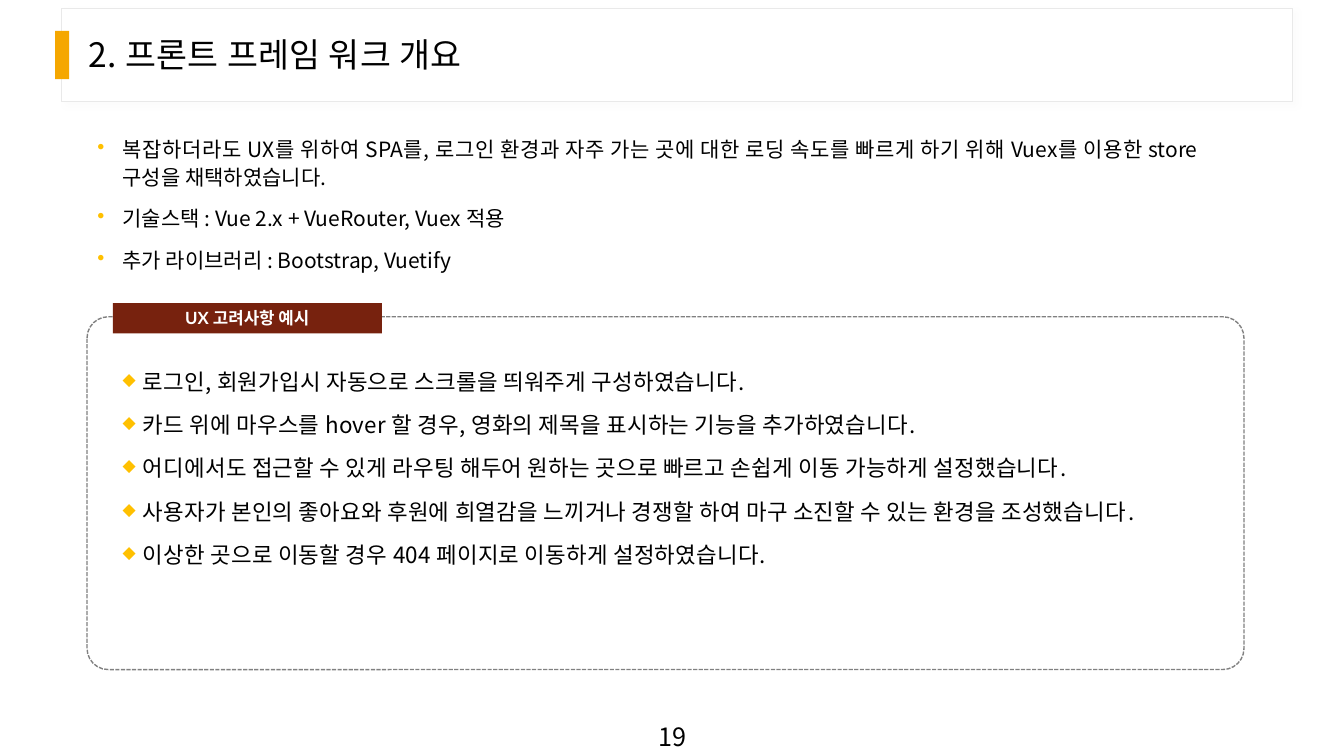
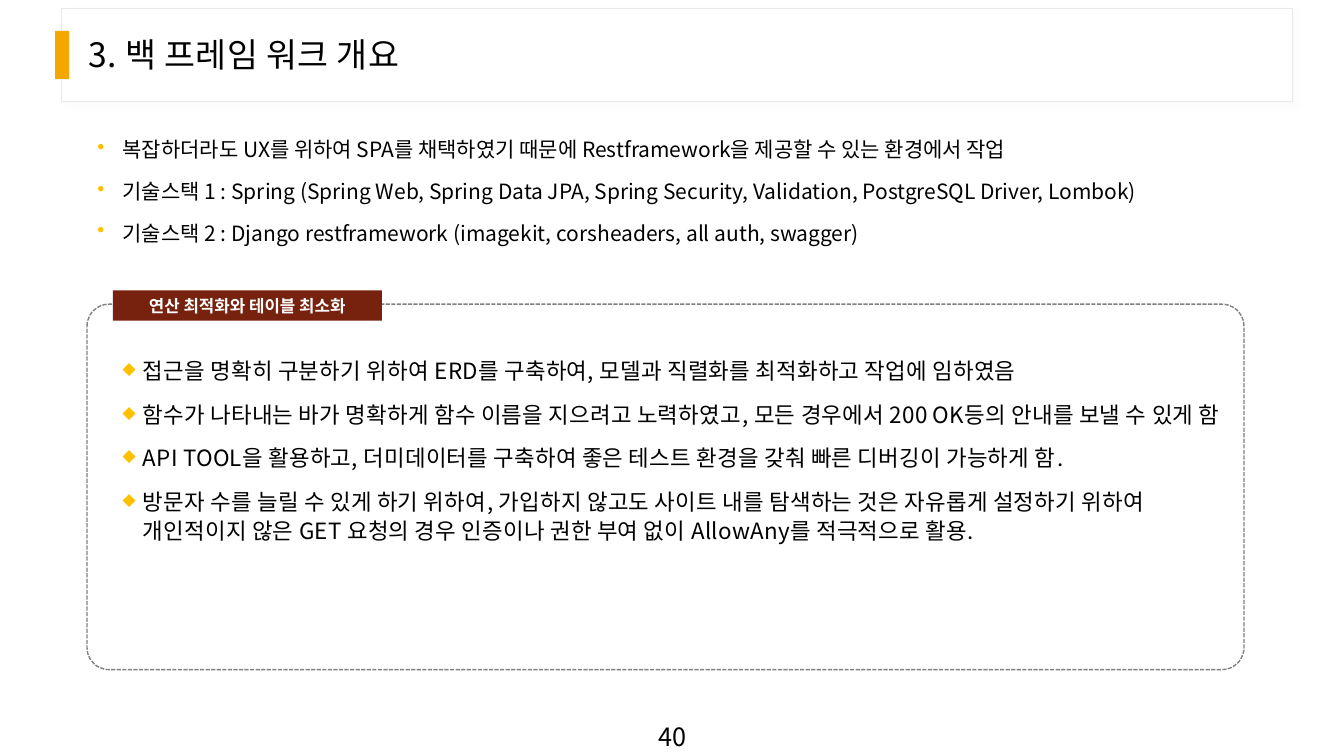
from dataclasses import dataclass
from typing import Any, Optional

from lxml.etree import SubElement
from pptx import Presentation
from pptx.dml.color import RGBColor
from pptx.enum.dml import MSO_LINE_DASH_STYLE as Dash
from pptx.enum.shapes import MSO_SHAPE as Preset
from pptx.enum.text import MSO_ANCHOR as Anchor, PP_ALIGN as Align
from pptx.oxml.ns import qn
from pptx.util import Pt

COLORS = {
    "white": "FFFFFF",
    "black": "000000",
    "header_line": "E9E9E9",
    "shadow": "D9D9D9",
    "accent": "F5A700",
    "bullet": "FFC000",
    "panel_line": "808080",
    "tag": "77220E",
}
KOREAN_FONT = "Noto Sans CJK KR"
TAG_FONT = "Lato"
PANEL_BOTTOM = 478.3
TAG_RISE = 9.8
TEXT_INDENT = 18


@dataclass(frozen=True)
class Box:
    left: float
    top: float
    width: float
    height: float

    def lengths(self) -> tuple:
        return Pt(self.left), Pt(self.top), Pt(self.width), Pt(self.height)


@dataclass(frozen=True)
class Bullet:
    character: str
    hanging: float
    percent: int


@dataclass(frozen=True)
class TextStyle:
    size: float
    color: str = "black"
    font: str = KOREAN_FONT
    bold: bool = False
    align: Align = Align.LEFT
    anchor: Anchor = Anchor.TOP
    line_spacing: Any = 1.0
    bullet: Optional[Bullet] = None
    tracking: float = 0


@dataclass(frozen=True)
class Overview:
    title: str
    page: str
    points: tuple
    panel_top: float
    tag: str
    details_top: float
    details: tuple


HEADER = Box(44, 6, 879, 66.5)
ACCENT = Box(39.4, 22, 10, 34.6)
TITLE = Box(56, 11.5, 800.6, 57.6)
PAGE = Box(454, 511.6, 52.6, 28)
POINTS = Box(62.5, 92.5, 800, 111.6)

TITLE_STYLE = TextStyle(24, anchor=Anchor.MIDDLE, line_spacing=0.9, tracking=0.3)
PAGE_STYLE = TextStyle(18, align=Align.CENTER)
POINT_STYLE = TextStyle(15, align=Align.JUSTIFY, line_spacing=Pt(19.7),
                        bullet=Bullet("•", 18, 100))
DETAIL_STYLE = TextStyle(16, line_spacing=Pt(21), bullet=Bullet("◆", 14.4, 76), tracking=0.2)
TAG_STYLE = TextStyle(12, "white", TAG_FONT, True, Align.CENTER, Anchor.MIDDLE)

OVERVIEWS = (
    Overview(
        "2. 프론트 프레임 워크 개요",
        "19",
        (
            "복잡하더라도 UX를 위하여 SPA를, 로그인 환경과 자주 가는 곳에 대한 로딩 속도를 "
            "빠르게 하기 위해 Vuex를 이용한 store 구성을 채택하였습니다.",
            "기술스택 : Vue 2.x + VueRouter, Vuex 적용",
            "추가 라이브러리 : Bootstrap, Vuetify",
        ),
        226.3,
        "UX 고려사항 예시",
        257.3,
        (
            "로그인, 회원가입시 자동으로 스크롤을 띄워주게 구성하였습니다.",
            "카드 위에 마우스를 hover 할 경우, 영화의 제목을 표시하는 기능을 추가하였습니다.",
            "어디에서도 접근할 수 있게 라우팅 해두어 원하는 곳으로 빠르고 손쉽게 이동 가능하게 설정했습니다.",
            "사용자가 본인의 좋아요와 후원에 희열감을 느끼거나 경쟁할 하여 마구 소진할 수 있는 환경을 조성했습니다.",
            "이상한 곳으로 이동할 경우 404 페이지로 이동하게 설정하였습니다.",
        ),
    ),
    Overview(
        "3. 백 프레임 워크 개요",
        "40",
        (
            "복잡하더라도 UX를 위하여 SPA를 채택하였기 때문에 Restframework을 제공할 수 있는 환경에서 작업",
            "기술스택 1 : Spring (Spring Web, Spring Data JPA, Spring Security, Validation, "
            "PostgreSQL Driver, Lombok)",
            "기술스택 2 : Django restframework (imagekit, corsheaders, all auth, swagger)",
        ),
        217.3,
        "연산 최적화와 테이블 최소화",
        250,
        (
            "접근을 명확히 구분하기 위하여 ERD를 구축하여, 모델과 직렬화를 최적화하고 작업에 임하였음",
            "함수가 나타내는 바가 명확하게 함수 이름을 지으려고 노력하였고, 모든 경우에서 "
            "200 OK등의 안내를 보낼 수 있게 함",
            "API TOOL을 활용하고, 더미데이터를 구축하여 좋은 테스트 환경을 갖춰 빠른 디버깅이 가능하게 함.",
            "방문자 수를 늘릴 수 있게 하기 위하여, 가입하지 않고도 사이트 내를 탐색하는 것은 "
            "자유롭게 설정하기 위하여 개인적이지 않은 GET 요청의 경우 인증이나 권한 부여 없이 "
            "AllowAny를 적극적으로 활용.",
        ),
    ),
)


def rgb(name: str) -> RGBColor:
    return RGBColor.from_string(COLORS[name])


def apply(target: Any, values: dict) -> None:
    for name, value in values.items():
        setattr(target, name, value)


def add_bullet(paragraph: Any, bullet: Bullet) -> None:
    properties = paragraph._p.get_or_add_pPr()
    properties.set("marL", str(Pt(TEXT_INDENT)))
    properties.set("indent", str(-Pt(bullet.hanging)))
    color = SubElement(properties, qn("a:buClr"))
    SubElement(color, qn("a:srgbClr"), val=COLORS["bullet"])
    SubElement(properties, qn("a:buSzPct"), val=str(bullet.percent * 1000))
    SubElement(properties, qn("a:buChar"), char=bullet.character)


def write_text(shape: Any, lines: tuple, style: TextStyle) -> None:
    frame = shape.text_frame
    apply(frame, {"word_wrap": True, "vertical_anchor": style.anchor})
    for index, line in enumerate(lines):
        paragraph = frame.add_paragraph() if index else frame.paragraphs[0]
        apply(paragraph, {
            "alignment": style.align,
            "line_spacing": style.line_spacing,
            "space_before": Pt(10 if index else 0),
        })
        if style.bullet:
            add_bullet(paragraph, style.bullet)
        run = paragraph.add_run()
        run.text = line
        apply(run.font, {"size": Pt(style.size), "bold": style.bold, "name": style.font})
        run.font.color.rgb = rgb(style.color)
        properties = run._r.get_or_add_rPr()
        properties.set("spc", str(round(style.tracking * 100)))
        SubElement(properties, qn("a:ea"), typeface=KOREAN_FONT)


def add_text(slide: Any, box: Box, lines: tuple, style: TextStyle) -> None:
    write_text(slide.shapes.add_textbox(*box.lengths()), lines, style)


def add_block(slide: Any, box: Box, fill: Optional[str] = None, line: Optional[str] = None,
              width: float = 1, preset: Preset = Preset.RECTANGLE) -> Any:
    shape = slide.shapes.add_shape(preset, *box.lengths())
    shape.shadow.inherit = False
    if fill:
        shape.fill.solid()
        shape.fill.fore_color.rgb = rgb(fill)
    else:
        shape.fill.background()
    if line:
        shape.line.color.rgb = rgb(line)
        shape.line.width = Pt(width)
    else:
        shape.line.fill.background()
    return shape


def add_soft_shadow(shape: Any) -> None:
    effects = shape._element.spPr.find(qn("a:effectLst"))
    shadow = SubElement(effects, qn("a:outerShdw"), blurRad=str(Pt(4)),
                        dist=str(Pt(3)), dir=str(45 * 60000))
    color = SubElement(shadow, qn("a:srgbClr"), val=COLORS["shadow"])
    SubElement(color, qn("a:alpha"), val="8000")


def add_frame(slide: Any, title: str, page: str) -> None:
    add_soft_shadow(add_block(slide, HEADER, "white", "header_line", 0.75))
    add_block(slide, ACCENT, "accent")
    add_text(slide, TITLE, (title,), TITLE_STYLE)
    add_text(slide, PAGE, (page,), PAGE_STYLE)


def add_panel(slide: Any, overview: Overview) -> None:
    top = overview.panel_top
    add_text(slide, Box(77, overview.details_top, 810, 226.8), overview.details, DETAIL_STYLE)
    panel = add_block(slide, Box(62.2, top, 826.4, PANEL_BOTTOM - top), line="panel_line",
                      preset=Preset.ROUNDED_RECTANGLE)
    panel.adjustments[0] = 0.06
    panel.line.dash_style = Dash.SQUARE_DOT
    label = add_block(slide, Box(80.6, top - TAG_RISE, 192.2, 21.6), "tag")
    write_text(label, (overview.tag,), TAG_STYLE)


def main() -> None:
    presentation = Presentation()
    apply(presentation, {"slide_width": Pt(960), "slide_height": Pt(540)})
    for overview in OVERVIEWS:
        slide = presentation.slides.add_slide(presentation.slide_layouts[6])
        add_frame(slide, overview.title, overview.page)
        add_text(slide, POINTS, overview.points, POINT_STYLE)
        add_panel(slide, overview)
    presentation.save("out.pptx")


if __name__ == "__main__":
    main()
